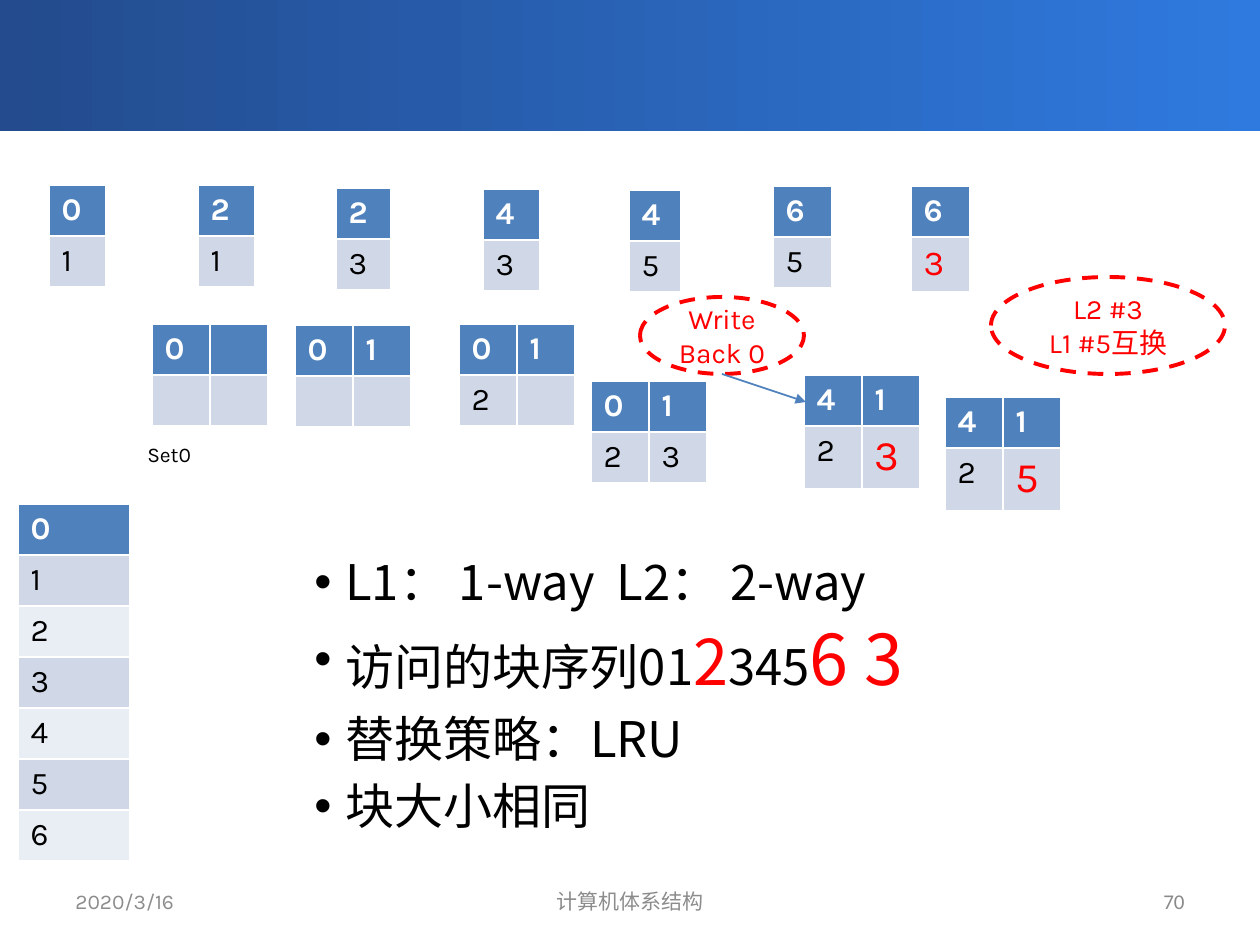
from dataclasses import dataclass

from lxml import etree
from pptx import Presentation
from pptx.dml.color import RGBColor
from pptx.enum.dml import MSO_LINE
from pptx.enum.shapes import MSO_CONNECTOR, MSO_SHAPE
from pptx.enum.text import MSO_ANCHOR, PP_ALIGN
from pptx.oxml.ns import qn
from pptx.util import Pt

EMU_PER_PX = 914400 / 126
LEFT, CENTER, RIGHT = PP_ALIGN.LEFT, PP_ALIGN.CENTER, PP_ALIGN.RIGHT
TOP, MIDDLE = MSO_ANCHOR.TOP, MSO_ANCHOR.MIDDLE
DASH, STRAIGHT = MSO_LINE.DASH, MSO_CONNECTOR.STRAIGHT
RECTANGLE, OVAL = MSO_SHAPE.RECTANGLE, MSO_SHAPE.OVAL


@dataclass(frozen=True)
class Theme:
    white: str = "FFFFFF"
    black: str = "000000"
    red: str = "FF0000"
    blue: str = "4F81BD"
    band_dark: str = "D0D8E8"
    band_light: str = "E9EDF4"
    gradient: tuple = ("234B8D", "2F7ADF")
    footer: str = "8C8C8C"
    number: str = "898989"
    font: str = "Karla"
    list_font: str = "Noto Sans CJK SC"
    number_font: str = "Calibri"
    small: int = 12
    callout: int = 16
    cell: int = 18
    bullet: int = 28


THEME = Theme()
ROW, TALL_ROW, WAY = 51, 63, 58

L1_STATES = [
    (49, 185, 57, ["0", "1"]),
    (198, 185, 57, ["2", "1"]),
    (336, 188, 55, ["2", "3"]),
    (483, 189, 57, ["4", "3"]),
    (629, 190, 52, ["4", "5"]),
    (773, 186, 59, ["6", "5"]),
    (911, 186, 59, ["6", ("3", 20)]),
]
L2_STATES = [
    (152, 324, ROW, [["0", ""], ["", ""]]),
    (295, 325, ROW, [["0", "1"], ["", ""]]),
    (459, 324, ROW, [["0", "1"], ["2", ""]]),
    (591, 381, ROW, [["0", "1"], ["2", "3"]]),
    (804, 375, TALL_ROW, [["4", "1"], ["2", ("3", 24)]]),
    (945, 397, TALL_ROW, [["4", "1"], ["2", ("5", 24)]]),
]
BULLETS = [
    ["L1： 1-way  L2： 2-way"],
    ["访问的块序列01", ("2", 36), "345", ("6 3", 40)],
    ["替换策略：LRU"],
    ["块大小相同"],
]
CALLOUTS = [
    (640, 297, 164, 77, ["Write", "Back 0"]),
    (991, 277, 234, 97, ["L2 #3", "L1 #5互换"]),
]
LABELS = [
    (63, 876, 294, 50, "2020/3/16", LEFT, MIDDLE, THEME.footer, THEME.font),
    (431, 876, 399, 50, "计算机体系结构", CENTER, MIDDLE, THEME.footer, THEME.font),
    (903, 876, 294, 50, "70", RIGHT, MIDDLE, THEME.number, THEME.number_font),
    (135, 435, 76, 38, "Set0", LEFT, TOP, THEME.black, THEME.font),
]


def px(*lengths):
    return [round(length * EMU_PER_PX) for length in lengths]


def rgb(color):
    return RGBColor.from_string(color)


def apply_format(target, values):
    for name, value in values.items():
        setattr(target, name, value)


def add_span(para, text, size, color, font=THEME.font, bold=False):
    span = para.add_run()
    span.text = text
    apply_format(span.font, {"size": Pt(size), "name": font, "bold": bold})
    span.font.color.rgb = rgb(color)
    east_asian = etree.SubElement(span.font._element, qn("a:ea"))
    east_asian.set("typeface", font)


def get_paras(frame, count):
    return [frame.paragraphs[0]] + [frame.add_paragraph() for _ in range(count - 1)]


def add_header_band(page):
    band = page.shapes.add_shape(RECTANGLE, *px(0, 0, 1260, 131))
    band.shadow.inherit = False
    band.line.fill.background()
    band.fill.gradient()
    band.fill.gradient_angle = 0
    for position, (stop, color) in enumerate(zip(band.fill.gradient_stops, THEME.gradient)):
        stop.position = position
        stop.color.rgb = rgb(color)


def add_label(page, left, top, width, height, text, align, anchor, color, font):
    box = page.shapes.add_textbox(*px(left, top, width, height))
    apply_format(box.text_frame, {"word_wrap": True, "vertical_anchor": anchor})
    para = box.text_frame.paragraphs[0]
    para.alignment = align
    add_span(para, text, THEME.small, color, font)


def add_block_table(page, left, top, column_width, row_heights, rows):
    columns = len(rows[0])
    area = px(left, top, column_width * columns, sum(row_heights))
    table = page.shapes.add_table(len(rows), columns, *area).table
    for column in table.columns:
        column.width = px(column_width)[0]
    for index, (height, values) in enumerate(zip(row_heights, rows)):
        table.rows[index].height = px(height)[0]
        header = index == 0
        fill = THEME.blue if header else (THEME.band_light, THEME.band_dark)[index % 2]
        plain = THEME.white if header else THEME.black
        for cell, value in zip(table.rows[index].cells, values):
            cell.fill.solid()
            cell.fill.fore_color.rgb = rgb(fill)
            if value:
                marked = isinstance(value, tuple)
                text, size = value if marked else (value, THEME.cell)
                color = THEME.red if marked else plain
                add_span(cell.text_frame.paragraphs[0], text, size, color, bold=header)


def add_bullets(page):
    box = page.shapes.add_textbox(*px(302, 552, 871, 324))
    box.text_frame.word_wrap = True
    indent = px(31)[0]
    for index, (para, parts) in enumerate(zip(get_paras(box.text_frame, len(BULLETS)), BULLETS)):
        properties = para._p.get_or_add_pPr()
        properties.set("marL", str(indent))
        properties.set("indent", str(-indent))
        etree.SubElement(properties, qn("a:buFont")).set("typeface", "Arial")
        etree.SubElement(properties, qn("a:buChar")).set("char", "•")
        apply_format(para, {"line_spacing": 0.9, "space_before": Pt(8 if index else 0)})
        for part in parts:
            marked = isinstance(part, tuple)
            text, size = part if marked else (part, THEME.bullet)
            color = THEME.red if marked else THEME.black
            add_span(para, text, size, color, THEME.list_font)


def add_callout(page, left, top, width, height, lines):
    oval = page.shapes.add_shape(OVAL, *px(left, top, width, height))
    oval.shadow.inherit = False
    oval.fill.background()
    oval.line.color.rgb = rgb(THEME.red)
    apply_format(oval.line, {"width": Pt(2.25), "dash_style": DASH})
    apply_format(oval.text_frame, {"word_wrap": True, "vertical_anchor": MIDDLE})
    for para, text in zip(get_paras(oval.text_frame, len(lines)), lines):
        para.alignment = CENTER
        add_span(para, text, THEME.callout, THEME.red)


def add_arrow(page, *ends):
    arrow = page.shapes.add_connector(STRAIGHT, *px(*ends))
    arrow.line.color.rgb = rgb(THEME.blue)
    arrow.line.width = Pt(1)
    etree.SubElement(arrow.line._get_or_add_ln(), qn("a:tailEnd")).set("type", "triangle")
    etree.SubElement(arrow._element.spPr, qn("a:effectLst"))


def main():
    deck = Presentation()
    deck.slide_width, deck.slide_height = px(1260, 945)
    page = deck.slides.add_slide(deck.slide_layouts[6])
    add_header_band(page)
    for label in LABELS:
        add_label(page, *label)
    for left, top, width, values in L1_STATES:
        add_block_table(page, left, top, width, [ROW, ROW], [[value] for value in values])
    for left, top, last_row, rows in L2_STATES:
        add_block_table(page, left, top, WAY, [ROW, last_row], rows)
    memory = [[str(block)] for block in range(7)]
    add_block_table(page, 18, 504, 112, [ROW] * len(memory), memory)
    add_bullets(page)
    for callout in CALLOUTS:
        add_callout(page, *callout)
    add_arrow(page, 722, 374, 806, 402)
    deck.save("out.pptx")


if __name__ == "__main__":
    main()
